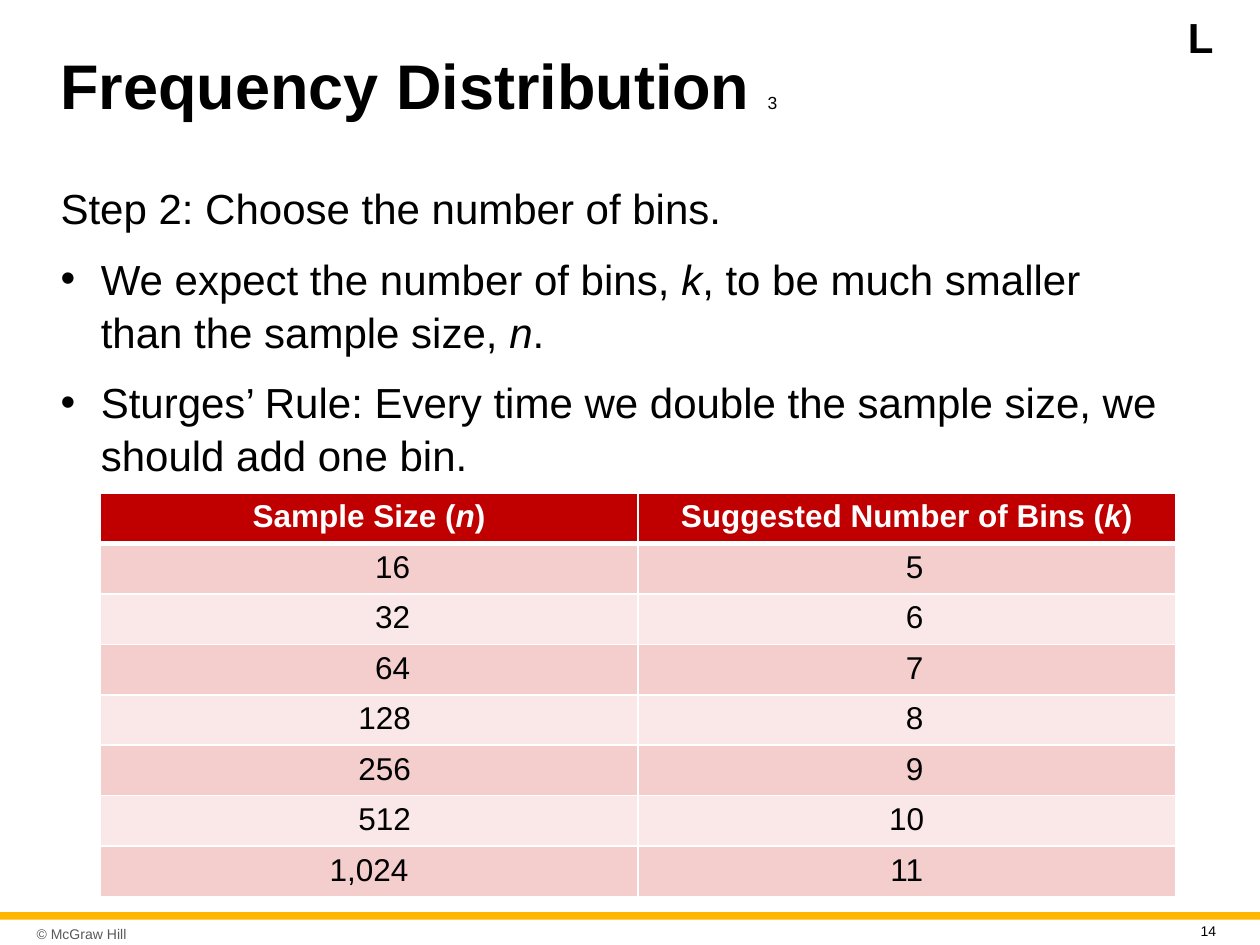
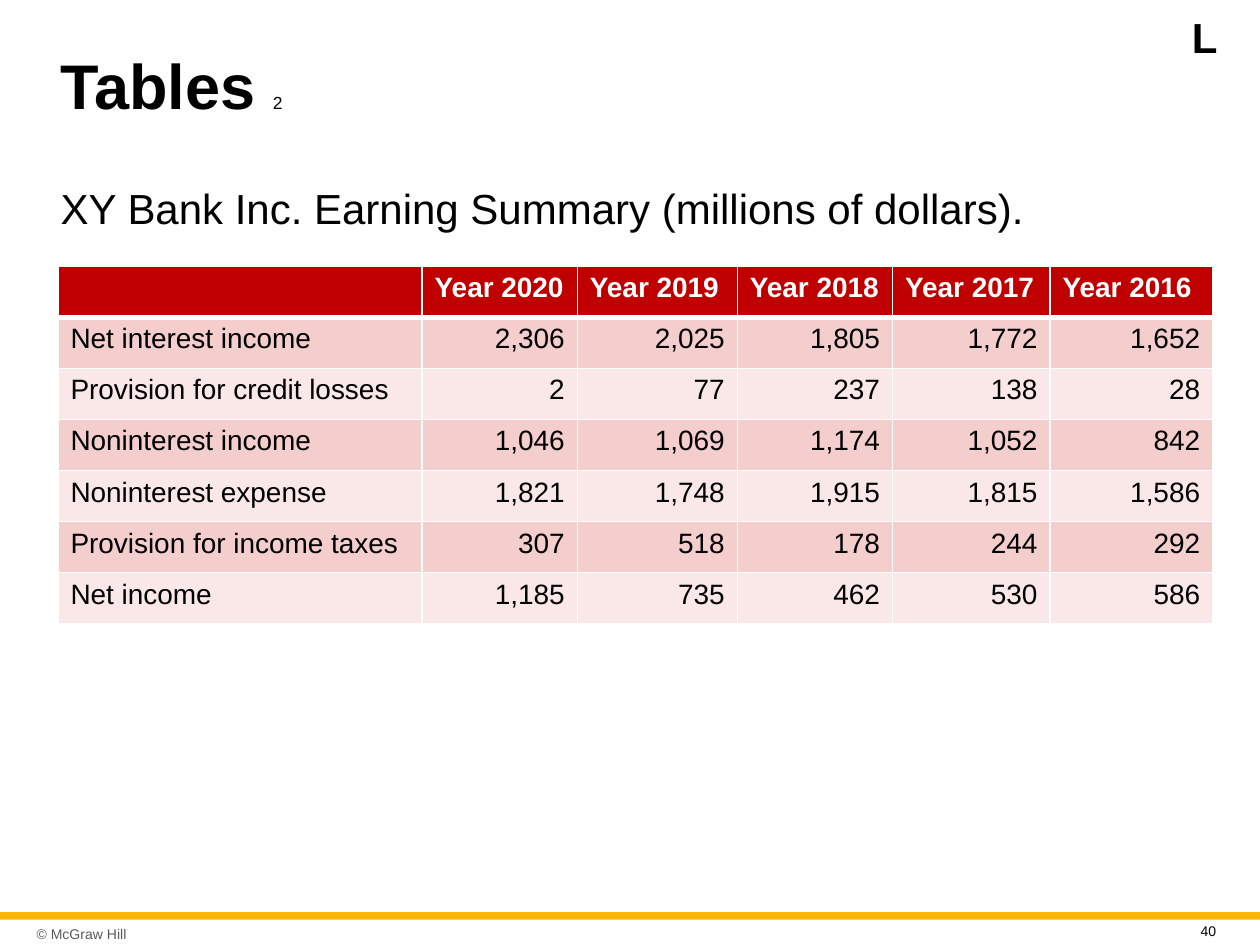
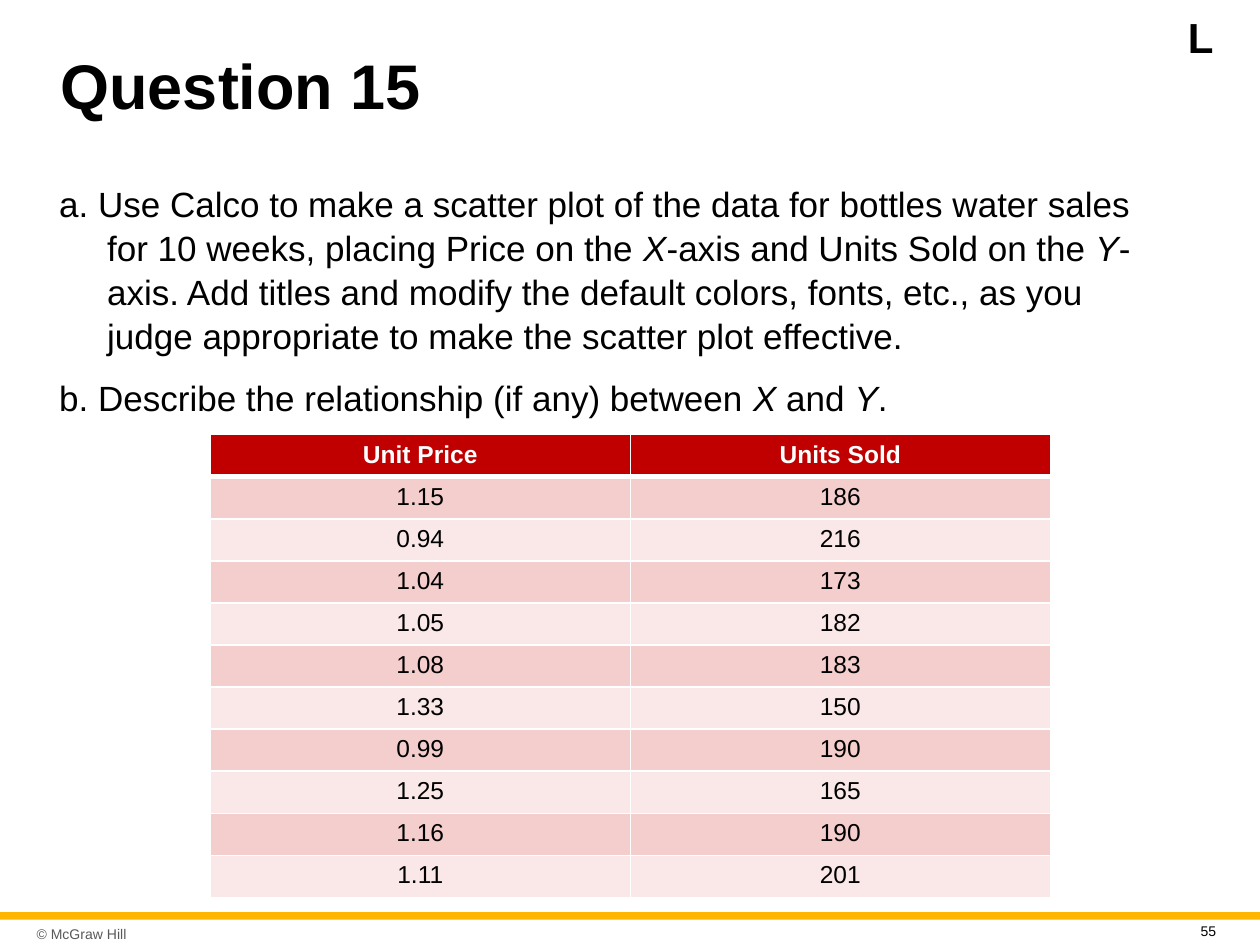
"""Build three statistics slides with titles, short lists and banded tables."""
from dataclasses import dataclass

from lxml import etree
from pptx import Presentation
from pptx.dml.color import RGBColor
from pptx.enum.shapes import MSO_SHAPE
from pptx.enum.text import MSO_ANCHOR, MSO_AUTO_SIZE, PP_ALIGN
from pptx.oxml.ns import qn
from pptx.util import Pt

RECTANGLE = MSO_SHAPE.RECTANGLE
MIDDLE, TOP = MSO_ANCHOR.MIDDLE, MSO_ANCHOR.TOP
NO_FIT = MSO_AUTO_SIZE.NONE
LEFT, CENTER, RIGHT = PP_ALIGN.LEFT, PP_ALIGN.CENTER, PP_ALIGN.RIGHT


@dataclass(frozen=True)
class Theme:
    """Colours and type sizes shared by all slides."""
    font: str = "Arial"
    ink: str = "000000"
    paper: str = "FFFFFF"
    gold: str = "FFB600"
    grey: str = "595959"
    header: str = "C00000"
    bands: tuple = ("F4CDCD", "FAE8E8")
    title: int = 36
    counter: int = 10
    label: int = 24
    small: int = 8


theme = Theme()


def add_spans(para, text, size, color=theme.ink, bold=False):
    """Add runs to a paragraph; text between asterisks is italic."""
    for number, part in enumerate(text.split("*")):
        if part:
            span = para.add_run()
            span.text = part
            span.font.name = theme.font
            span.font.size = Pt(size)
            span.font.bold = bold
            span.font.italic = number % 2 == 1
            span.font.color.rgb = RGBColor.from_string(color)


def add_border(cell, side, width):
    """Draw one side of a table cell in the paper colour."""
    line = etree.SubElement(cell._tc.get_or_add_tcPr(), qn(f"a:ln{side}"), w=str(Pt(width)))
    fill = etree.SubElement(line, qn("a:solidFill"))
    etree.SubElement(fill, qn("a:srgbClr"), val=theme.paper)


pages = [
    {
        "title": "Frequency Distribution ", "counter": "3", "number": "14",
        "label": (676.8, 38.2), "body": (27.4, 645.1, 174.2), "size": 24,
        "paragraphs": [
            ("Step 2: Choose the number of bins.", 0, None),
            ("We expect the number of bins, *k*, to be much smaller than the sample size, *n*.", 23, "•"),
            ("Sturges’ Rule: Every time we double the sample size, we should add one bin.", 23, "•"),
        ],
        "table": (57.2, 281.7), "columns": [307.3, 307.3], "row_height": 27.4,
        "cell_size": 18, "aligns": [CENTER, CENTER], "header_align": CENTER, "digit_pad": 9,
        "rows": [
            ("Sample Size (*n*)", "Suggested Number of Bins (*k*)"),
            ("16", "5"), ("32", "6"), ("64", "7"), ("128", "8"),
            ("256", "9"), ("512", "10"), ("1,024", "11"),
        ],
    },
    {
        "title": "Tables ", "counter": "2", "number": "40",
        "label": (679, 35.3), "body": (27.4, 645.1, 43.2), "size": 24,
        "paragraphs": [("XY Bank Inc. Earning Summary (millions of dollars).", 0, None)],
        "table": (33.1, 152.1), "columns": [208.1, 88.7, 91.4, 88.7, 90, 93], "row_height": 29.2,
        "cell_size": 16, "aligns": [LEFT] + [RIGHT] * 5, "header_align": LEFT, "digit_pad": 0,
        "rows": [
            ("", "Year 2020", "Year 2019", "Year 2018", "Year 2017", "Year 2016"),
            ("Net interest income", "2,306", "2,025", "1,805", "1,772", "1,652"),
            ("Provision for credit losses", "2", "77", "237", "138", "28"),
            ("Noninterest income", "1,046", "1,069", "1,174", "1,052", "842"),
            ("Noninterest expense", "1,821", "1,748", "1,915", "1,815", "1,586"),
            ("Provision for income taxes", "307", "518", "178", "244", "292"),
            ("Net income", "1,185", "735", "462", "530", "586"),
        ],
    },
    {
        "title": "Question 15", "counter": "", "number": "55",
        "label": (676.8, 38.2), "body": (26.6, 652.3, 139.7), "size": 20,
        "paragraphs": [
            ("a. Use Calco to make a scatter plot of the data for bottles water sales for 10 weeks, "
             "placing Price on the *X*-axis and Units Sold on the *Y*-axis. Add titles and modify the "
             "default colors, fonts, etc., as you judge appropriate to make the scatter plot effective.",
             27.4, None),
            ("b. Describe the relationship (if any) between *X* and *Y*.", 27.4, None),
        ],
        "table": (120.2, 248.4), "columns": [240, 240], "row_height": 23,
        "cell_size": 14, "aligns": [CENTER, CENTER], "header_align": CENTER, "digit_pad": 0,
        "rows": [
            ("Unit Price", "Units Sold"),
            ("1.15", "186"), ("0.94", "216"), ("1.04", "173"), ("1.05", "182"), ("1.08", "183"),
            ("1.33", "150"), ("0.99", "190"), ("1.25", "165"), ("1.16", "190"), ("1.11", "201"),
        ],
    },
]

deck = Presentation()
deck.slide_width, deck.slide_height = Pt(720), Pt(540)

for content in pages:
    page = deck.slides.add_slide(deck.slide_layouts[1])

    band = page.shapes.add_shape(RECTANGLE, Pt(0), Pt(521.3), Pt(720), Pt(4.3))
    band.shadow.inherit = False
    band.fill.solid()
    band.fill.fore_color.rgb = RGBColor.from_string(theme.gold)
    band.line.fill.background()

    label_left, label_width = content["label"]
    for text, place, inset, anchor, size, color, bold in [
        ("© McGraw Hill", (17.3, 524.9, 97.2, 17.3), (3.6, 3.6), MIDDLE, theme.small, theme.grey, False),
        (content["number"], (679, 523.4, 36.7, 15.1), (7.2, 3.6), TOP, theme.small, theme.ink, False),
        ("L", (label_left, 4.3, label_width, 36), (2, 2), TOP, theme.label, theme.ink, True),
    ]:
        box = page.shapes.add_textbox(*map(Pt, place))
        frame = box.text_frame
        frame.word_wrap = True
        frame.vertical_anchor = anchor
        frame.margin_left = frame.margin_right = Pt(inset[0])
        frame.margin_top = frame.margin_bottom = Pt(inset[1])
        add_spans(frame.paragraphs[0], text, size, color, bold)

    title = page.shapes.title
    title.left, title.top, title.width, title.height = map(Pt, (27.4, 15.1, 645.1, 71.3))
    title.text_frame.auto_size = NO_FIT
    title.text_frame.vertical_anchor = MIDDLE
    para = title.text_frame.paragraphs[0]
    para.alignment = LEFT
    para.line_spacing = 0.9
    add_spans(para, content["title"], theme.title, bold=True)
    add_spans(para, content["counter"], theme.counter)

    body = page.placeholders[1]
    body_left, body_width, body_height = content["body"]
    body.left, body.top, body.width, body.height = map(Pt, (body_left, 99.4, body_width, body_height))
    body.text_frame.auto_size = NO_FIT
    for index, (text, hang, bullet) in enumerate(content["paragraphs"]):
        para = body.text_frame.add_paragraph() if index else body.text_frame.paragraphs[0]
        properties = para._p.get_or_add_pPr()
        properties.set("marL", str(Pt(hang)))
        properties.set("indent", str(-Pt(hang)))
        if bullet:
            etree.SubElement(properties, qn("a:buChar"), char=bullet)
        else:
            etree.SubElement(properties, qn("a:buNone"))
        para.space_before = Pt(10 if index else 0)
        para.line_spacing = 1.05
        add_spans(para, text, content["size"])

    rows, columns = content["rows"], content["columns"]
    table_left, table_top = content["table"]
    table = page.shapes.add_table(
        len(rows), len(columns), Pt(table_left), Pt(table_top),
        Pt(sum(columns)), Pt(content["row_height"] * len(rows))).table
    for column, width in zip(table.columns, columns):
        column.width = Pt(width)
    for row_index, values in enumerate(rows):
        table.rows[row_index].height = Pt(content["row_height"])
        is_header = row_index == 0
        for column_index, text in enumerate(values):
            cell = table.cell(row_index, column_index)
            for side in "LRTB":
                beside_header = (row_index, side) in [(0, "B"), (1, "T")]
                add_border(cell, side, 3 if beside_header else 1)
            cell.fill.solid()
            fill = theme.header if is_header else theme.bands[(row_index - 1) % 2]
            cell.fill.fore_color.rgb = RGBColor.from_string(fill)
            para = cell.text_frame.paragraphs[0]
            para.alignment = content["header_align"] if is_header else content["aligns"][column_index]
            if content["digit_pad"] and not is_header:
                missing = len(rows[-1][column_index]) - len(text)
                para._p.get_or_add_pPr().set("marL", str(Pt(content["digit_pad"] * missing)))
            add_spans(para, text, content["cell_size"], theme.paper if is_header else theme.ink, is_header)

deck.save("out.pptx")
